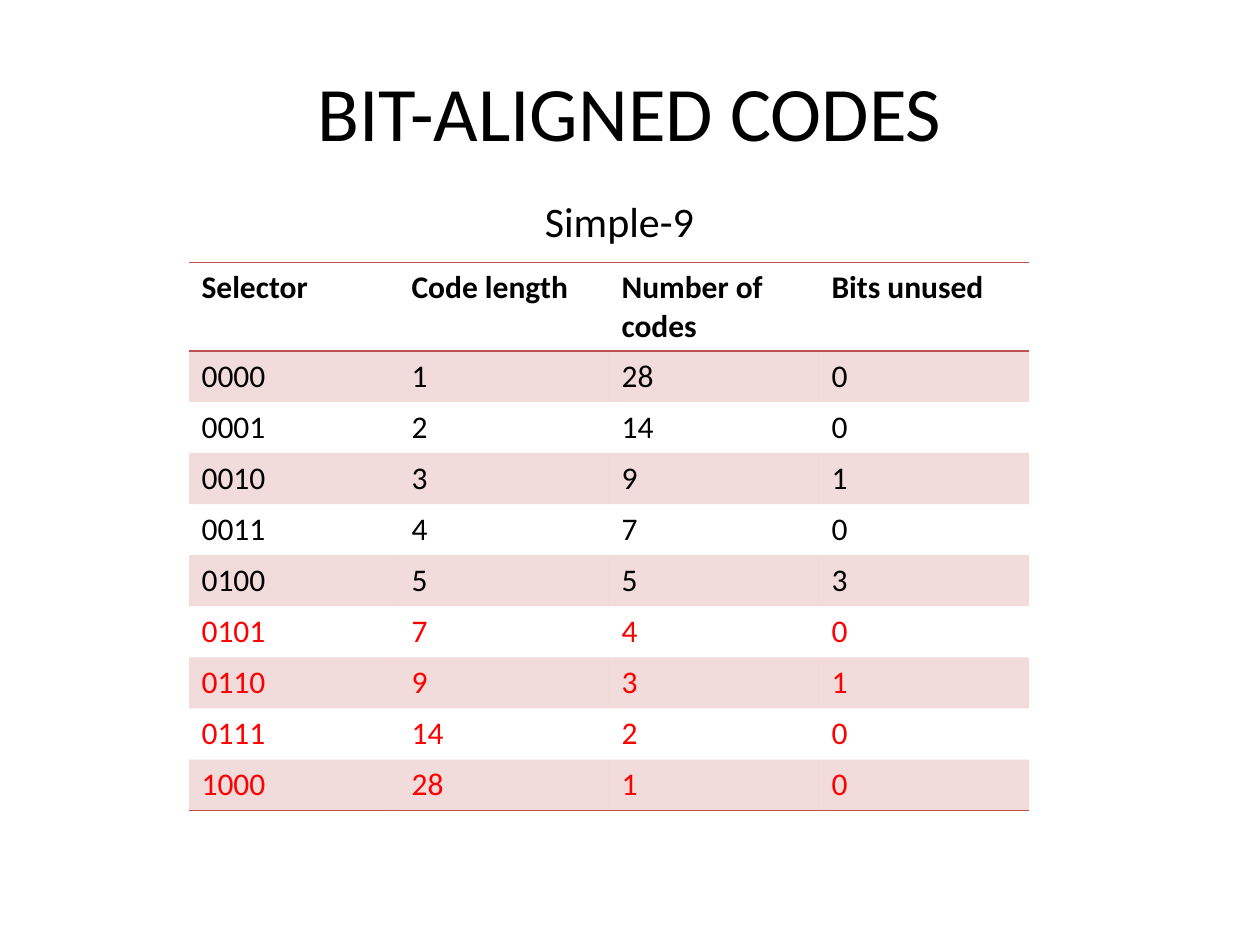
import lxml.etree
import pptx
import pptx.dml.color
import pptx.enum.text
import pptx.oxml.ns
import pptx.util

Pt = pptx.util.Pt
qn = pptx.oxml.ns.qn
BLACK = pptx.dml.color.RGBColor(0x00, 0x00, 0x00)
RED = pptx.dml.color.RGBColor(0xFF, 0x00, 0x00)
ACCENT = pptx.dml.color.RGBColor(0xC0, 0x50, 0x4D)
FONT = "Calibri"
NO_GRID_STYLE = "{2D5ABB26-0587-4C30-8999-92F81FD0307C}"
HEADER = ("Selector", "Code length", "Number of codes", "Bits unused")
CODES = [
    ("0000", 1, 28, 0),
    ("0001", 2, 14, 0),
    ("0010", 3, 9, 1),
    ("0011", 4, 7, 0),
    ("0100", 5, 5, 3),
    ("0101", 7, 4, 0),
    ("0110", 9, 3, 1),
    ("0111", 14, 2, 0),
    ("1000", 28, 1, 0),
]
FIRST_RED_ROW = 6


def write_text(frame, text, size, color=BLACK, bold=False, align=None):
    frame.text = text
    paragraph = frame.paragraphs[0]
    paragraph.alignment = align
    font = paragraph.runs[0].font
    font.name = FONT
    font.size = Pt(size)
    font.bold = bold
    font.color.rgb = color


def add_title(slide, text):
    title = slide.shapes.title
    title.left, title.top, title.width, title.height = Pt(36), Pt(18), Pt(648), Pt(90)
    title.text_frame.vertical_anchor = pptx.enum.text.MSO_ANCHOR.MIDDLE
    write_text(title.text_frame, text, 44, align=pptx.enum.text.PP_ALIGN.CENTER)


def add_caption(slide, text):
    caption = slide.shapes.add_textbox(Pt(30), Pt(108), Pt(648), Pt(40))
    caption.text_frame.word_wrap = True
    write_text(caption.text_frame, text, 24, align=pptx.enum.text.PP_ALIGN.CENTER)
    caption.text_frame.paragraphs[0].space_before = Pt(4.8)


def add_border(cell, side):
    properties = cell._tc.get_or_add_tcPr()
    line = lxml.etree.SubElement(properties, qn(f"a:{side}"), w=str(Pt(1)))
    fill = lxml.etree.SubElement(line, qn("a:solidFill"))
    lxml.etree.SubElement(fill, qn("a:srgbClr"), val=str(ACCENT))


def shade(cell):
    cell.fill.solid()
    cell.fill.fore_color.rgb = ACCENT
    color = cell._tc.tcPr.find(qn("a:solidFill")).find(qn("a:srgbClr"))
    lxml.etree.SubElement(color, qn("a:alpha"), val="20000")


def format_cell(cell, row, value):
    color = RED if row >= FIRST_RED_ROW else BLACK
    write_text(cell.text_frame, str(value), 18, color, bold=row == 0)
    if row == 0:
        add_border(cell, "lnT")
    if row in (0, len(CODES)):
        add_border(cell, "lnB")
    if row % 2:
        shade(cell)
    else:
        cell.fill.background()


def add_code_table(slide):
    rows = [HEADER, *CODES]
    frame = slide.shapes.add_table(
        len(rows), len(HEADER), Pt(108), Pt(150), Pt(480), Pt(29.2 * len(rows)))
    table = frame.table
    table.horz_banding = False
    table._tbl.tblPr.find(qn("a:tableStyleId")).text = NO_GRID_STYLE
    for row, values in enumerate(rows):
        table.rows[row].height = Pt(29.2)
        for column, value in enumerate(values):
            format_cell(table.cell(row, column), row, value)


def main():
    presentation = pptx.Presentation()
    presentation.slide_width = Pt(720)
    presentation.slide_height = Pt(540)
    slide = presentation.slides.add_slide(presentation.slide_layouts[5])
    add_title(slide, "BIT-ALIGNED CODES")
    add_caption(slide, "Simple-9")
    add_code_table(slide)
    presentation.save("out.pptx")


if __name__ == "__main__":
    main()
